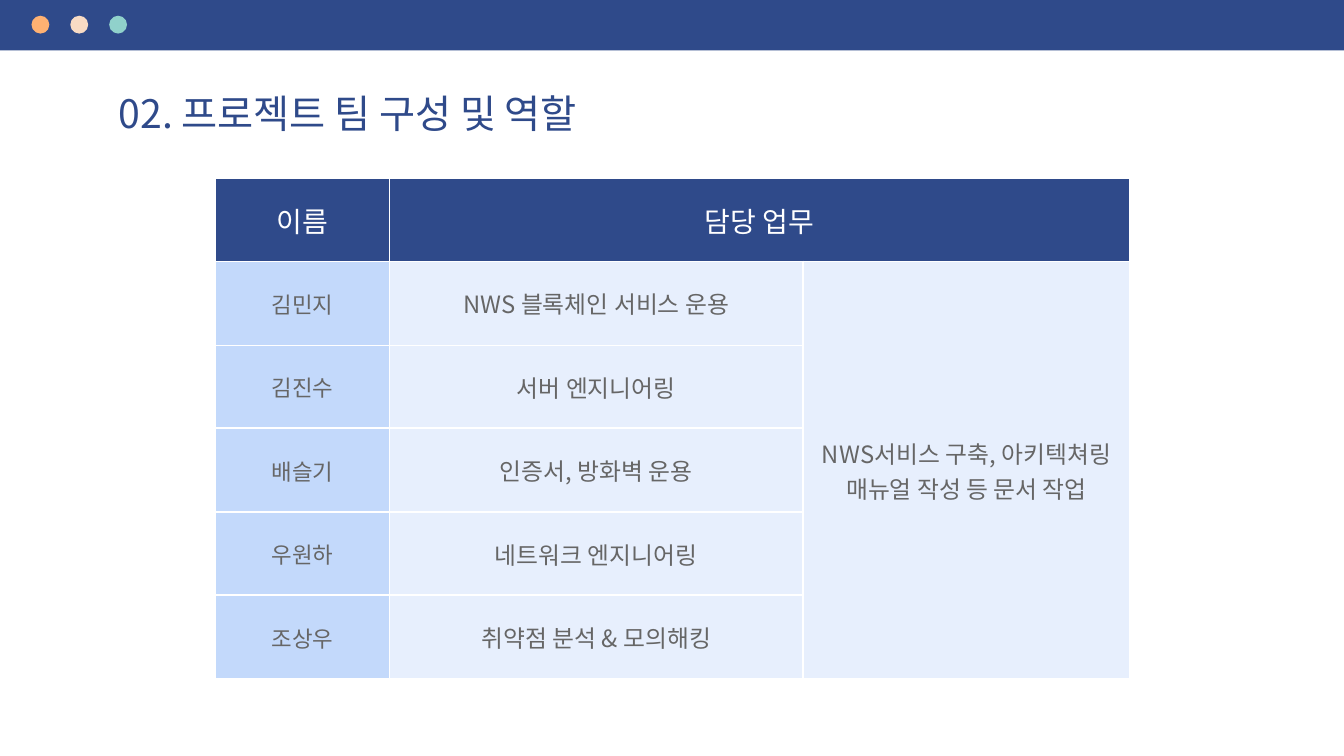
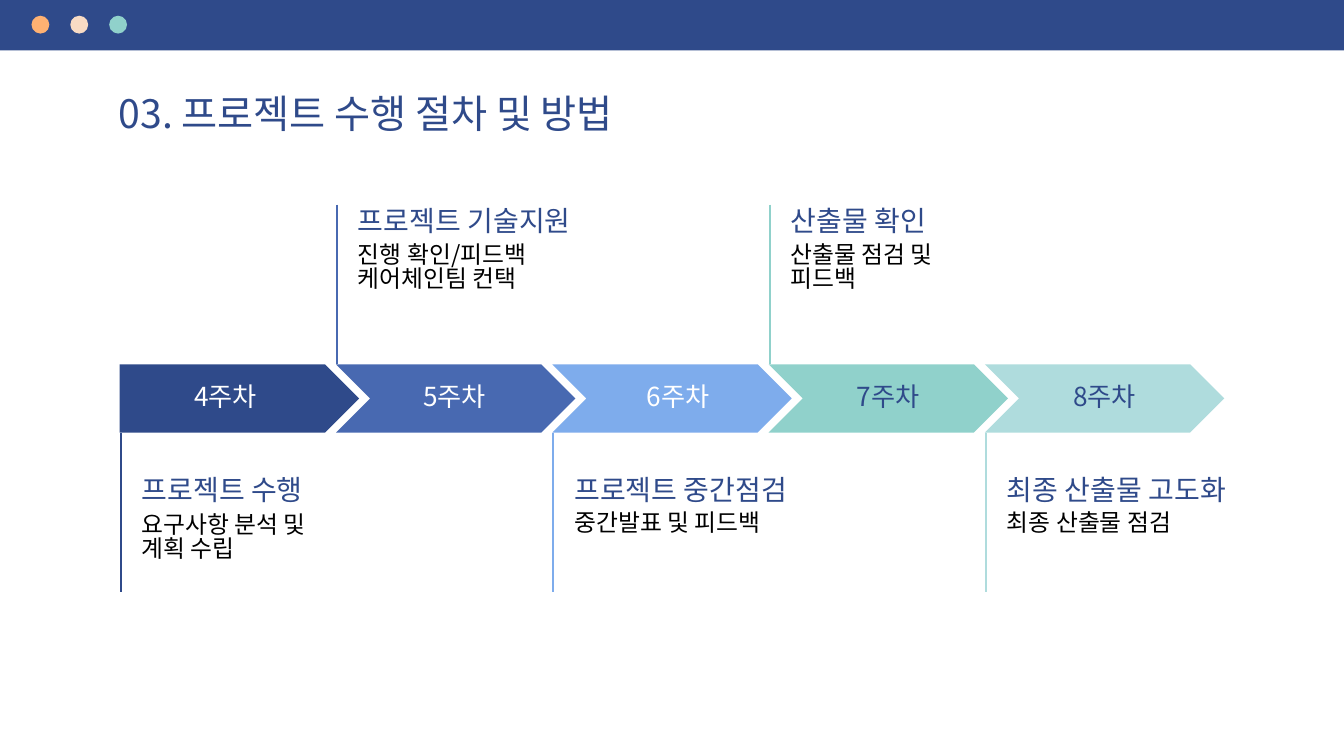
from dataclasses import dataclass
from typing import Any

from lxml.etree import SubElement
from pptx import Presentation
from pptx.dml.color import RGBColor
from pptx.enum.shapes import MSO_CONNECTOR, MSO_SHAPE
from pptx.enum.text import MSO_ANCHOR, PP_ALIGN
from pptx.oxml.ns import qn
from pptx.util import Emu, Pt

EMU_PER_PX = 9525
FONT = "Noto Sans CJK KR"
COLORS = {
    "navy": "2F4A8A",
    "blue": "4869B1",
    "sky": "7EACEC",
    "teal": "90D1CB",
    "mint": "AFDCDD",
    "orange": "FFB172",
    "cream": "F8DBC4",
    "name": "C3D9FB",
    "duty": "E7EFFD",
    "gray": "666666",
    "white": "FFFFFF",
    "black": "000000",
}
INSET = 13
LINE_WIDTH = Pt(1.5)
DOTS = ("orange", "cream", "teal")

TABLE_LEFT, TABLE_TOP, TABLE_HEIGHT = 205, 170, 477
COLUMN_WIDTHS = (166, 394, 311)

ARROW_LEFT, ARROW_STEP = 114, 206
ARROW_TOP, ARROW_WIDTH, ARROW_HEIGHT = 347, 228, 65
STEM_HEIGHT = 152
NOTE_OFFSET = 8
HEADING_TOP_ABOVE, HEADING_TOP_BELOW = 184, 441
BODY_OFFSET = 36


@dataclass(frozen=True)
class Box:
    left: int
    top: int
    width: int
    height: int

    def emu(self) -> tuple[Emu, ...]:
        return tuple(px(value) for value in (self.left, self.top, self.width, self.height))


@dataclass(frozen=True)
class TextStyle:
    size: float
    color: str
    align: PP_ALIGN = PP_ALIGN.LEFT
    spacing: float = 1.0


@dataclass(frozen=True)
class Member:
    name: str
    duty: str


@dataclass(frozen=True)
class Week:
    label: str
    label_left: int
    label_color: str
    fill: str
    heading: str
    body: str


TITLE = TextStyle(28, "navy", spacing=0.9)
HEADING = TextStyle(20, "navy", spacing=0.9)
BODY = TextStyle(17, "black", spacing=0.83)
TABLE_HEADER = TextStyle(20, "white", PP_ALIGN.CENTER)
TABLE_NAME = TextStyle(16, "gray", PP_ALIGN.CENTER)
TABLE_DUTY = TextStyle(17, "gray", PP_ALIGN.CENTER)

MEMBERS = (
    Member("김민지", "NWS 블록체인 서비스 운용"),
    Member("김진수", "서버 엔지니어링"),
    Member("배슬기", "인증서, 방화벽 운용"),
    Member("우원하", "네트워크 엔지니어링"),
    Member("조상우", "취약점 분석 & 모의해킹"),
)
SHARED_DUTY = "NWS서비스 구축, 아키텍쳐링\n매뉴얼 작성 등 문서 작업"

WEEKS = (
    Week("4주차", 119, "white", "navy", "프로젝트 수행", "요구사항 분석 및\v계획 수립"),
    Week("5주차", 337, "white", "blue", "프로젝트 기술지원", "진행 확인/피드백\n케어체인팀 컨택"),
    Week("6주차", 550, "white", "sky", "프로젝트 중간점검", "중간발표 및 피드백"),
    Week("7주차", 750, "navy", "teal", "산출물 확인", "산출물 점검 및\v피드백"),
    Week("8주차", 956, "navy", "mint", "최종 산출물 고도화", "최종 산출물 점검"),
)


def px(value: int) -> Emu:
    return Emu(value * EMU_PER_PX)


def rgb(name: str) -> RGBColor:
    return RGBColor.from_string(COLORS[name])


def apply_format(target: Any, values: dict[str, Any]) -> None:
    for attribute, value in values.items():
        setattr(target, attribute, value)


def inset_format(*sides: str) -> dict[str, Emu]:
    return {f"margin_{side}": px(INSET) for side in sides or ("left", "top", "right", "bottom")}


def write_text(text_frame: Any, text: str, style: TextStyle) -> None:
    text_frame.text = text
    for paragraph in text_frame.paragraphs:
        apply_format(paragraph, {"alignment": style.align, "line_spacing": style.spacing})
        for run in paragraph.runs:
            apply_format(run.font, {"size": Pt(style.size), "name": FONT, "bold": False})
            run.font.color.rgb = rgb(style.color)
            east_asian = SubElement(run.font._element, qn("a:ea"))
            east_asian.set("typeface", FONT)


def add_text(slide: Any, box: Box, text: str, style: TextStyle) -> None:
    text_frame = slide.shapes.add_textbox(*box.emu()).text_frame
    apply_format(
        text_frame,
        {"word_wrap": True, "vertical_anchor": MSO_ANCHOR.TOP, **inset_format()},
    )
    write_text(text_frame, text, style)


def add_filled_shape(slide: Any, kind: MSO_SHAPE, box: Box, color: str) -> None:
    shape = slide.shapes.add_shape(kind, *box.emu())
    shape.shadow.inherit = False
    shape.fill.solid()
    shape.fill.fore_color.rgb = rgb(color)
    shape.line.fill.background()


def add_stem(slide: Any, left: int, top: int, color: str) -> None:
    connector = slide.shapes.add_connector(
        MSO_CONNECTOR.STRAIGHT, px(left), px(top), px(left), px(top + STEM_HEIGHT)
    )
    connector.line.color.rgb = rgb(color)
    connector.line.width = LINE_WIDTH
    SubElement(connector.element.spPr, qn("a:effectLst"))


def add_titled_slide(presentation: Any, title: str) -> Any:
    slide = presentation.slides.add_slide(presentation.slide_layouts[6])
    add_filled_shape(slide, MSO_SHAPE.RECTANGLE, Box(0, 0, 1280, 48), "navy")
    for index, color in enumerate(DOTS):
        add_filled_shape(slide, MSO_SHAPE.OVAL, Box(30 + 37 * index, 15, 17, 17), color)
    add_text(slide, Box(100, 77, 1080, 65), title, TITLE)
    return slide


def add_cell_borders(cell: Any) -> None:
    properties = cell._tc.get_or_add_tcPr()
    for position, side in enumerate(("lnL", "lnR", "lnT", "lnB")):
        border = SubElement(properties, qn(f"a:{side}"), w=str(LINE_WIDTH))
        fill = SubElement(border, qn("a:solidFill"))
        SubElement(fill, qn("a:srgbClr"), val=COLORS["white"])
        properties.insert(position, border)


def fill_cell(cell: Any, text: str, color: str, style: TextStyle) -> None:
    apply_format(cell, {"vertical_anchor": MSO_ANCHOR.MIDDLE, **inset_format()})
    cell.fill.solid()
    cell.fill.fore_color.rgb = rgb(color)
    add_cell_borders(cell)
    write_text(cell.text_frame, text, style)


def add_team_table(slide: Any) -> None:
    rows = [("이름", "담당 업무", "")]
    rows += [(member.name, member.duty, "") for member in MEMBERS]
    rows[1] = (*rows[1][:2], SHARED_DUTY)
    box = Box(TABLE_LEFT, TABLE_TOP, sum(COLUMN_WIDTHS), TABLE_HEIGHT)
    table = slide.shapes.add_table(len(rows), len(COLUMN_WIDTHS), *box.emu()).table
    apply_format(table, {"first_row": False, "horz_banding": False})
    for column, width in zip(table.columns, COLUMN_WIDTHS):
        column.width = px(width)
    for index, texts in enumerate(rows):
        start = TABLE_HEIGHT * index // len(rows)
        end = TABLE_HEIGHT * (index + 1) // len(rows)
        table.rows[index].height = px(end - start)
        for column_index, text in enumerate(texts):
            if index == 0:
                color, style = "navy", TABLE_HEADER
            elif column_index == 0:
                color, style = "name", TABLE_NAME
            else:
                color, style = "duty", TABLE_DUTY
            fill_cell(table.cell(index, column_index), text, color, style)
    table.cell(0, 1).merge(table.cell(0, 2))
    table.cell(1, 2).merge(table.cell(len(MEMBERS), 2))


def add_week(slide: Any, index: int, week: Week) -> None:
    left = ARROW_LEFT + ARROW_STEP * index
    above = index % 2 == 1
    kind = MSO_SHAPE.CHEVRON if index else MSO_SHAPE.PENTAGON
    add_filled_shape(slide, kind, Box(left, ARROW_TOP, ARROW_WIDTH, ARROW_HEIGHT), week.fill)
    stem_top = ARROW_TOP - STEM_HEIGHT if above else ARROW_TOP + ARROW_HEIGHT
    add_stem(slide, left + 1, stem_top, week.fill)
    label_style = TextStyle(18.7, week.label_color, PP_ALIGN.CENTER, 0.9)
    add_text(slide, Box(week.label_left, 353, 192, 36), week.label, label_style)
    heading_top = HEADING_TOP_ABOVE if above else HEADING_TOP_BELOW
    note_left = left + NOTE_OFFSET
    add_text(slide, Box(note_left, heading_top, 257, 49), week.heading, HEADING)
    add_text(slide, Box(note_left, heading_top + BODY_OFFSET, 266, 76), week.body, BODY)


def main() -> None:
    presentation = Presentation()
    apply_format(presentation, {"slide_width": px(1280), "slide_height": px(720)})
    team_slide = add_titled_slide(presentation, "02. 프로젝트 팀 구성 및 역할")
    add_team_table(team_slide)
    process_slide = add_titled_slide(presentation, "03. 프로젝트 수행 절차 및 방법")
    for index, week in enumerate(WEEKS):
        add_week(process_slide, index, week)
    presentation.save("out.pptx")


if __name__ == "__main__":
    main()
